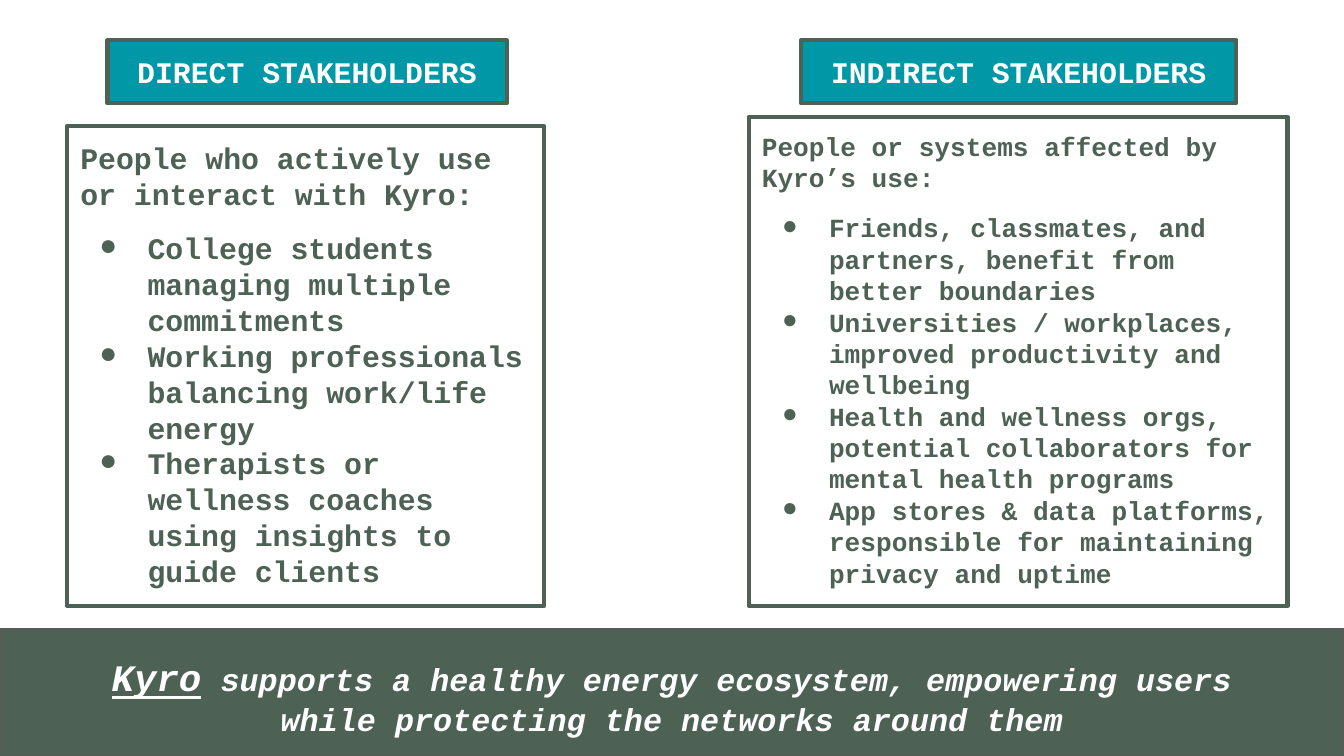
from lxml import etree
from pptx import Presentation, util as u
from pptx.dml.color import RGBColor
from pptx.enum import shapes, text
from pptx.oxml.ns import qn

GREEN, TEAL, WHITE, GREY = "4D6154", "0097A7", "FFFFFF", "595959"
FACE = "Courier New"
CELLS_PER_INCH = 10
COLUMNS, ROWS = 100, 56.25
BAND_TOP = 46.8

GROUPS = [
    dict(
        title="DIRECT STAKEHOLDERS", title_at=(8, 3, 29.7, 4.7),
        card_at=(5, 9.4, 35.5, 35.7), size=16, hang=0.36,
        intro="People who actively use or interact with Kyro:",
        members=[
            "College students managing multiple commitments",
            "Working professionals balancing work/life energy",
            "Therapists or wellness coaches using insights to guide clients",
        ],
    ),
    dict(
        title="INDIRECT STAKEHOLDERS", title_at=(59.6, 3, 32.4, 4.7),
        card_at=(55.7, 8.7, 40.1, 36.4), size=14, hang=0.35,
        intro="People or systems affected by Kyro’s use:",
        members=[
            "Friends, classmates, and partners, benefit from better boundaries",
            "Universities / workplaces, improved productivity and wellbeing",
            "Health and wellness orgs, potential collaborators for mental health programs",
            "App stores & data platforms, responsible for maintaining privacy and uptime",
        ],
    ),
]


def color(code):
    return RGBColor.from_string(code)


def cells(count):
    return u.Inches(count / CELLS_PER_INCH)


def write(paragraph, words, size=16, ink=WHITE, italic=False, underline=False):
    run = paragraph.add_run()
    run.text = words
    font = run.font
    font.name, font.size, font.bold = FACE, u.Pt(size), True
    font.italic, font.underline = italic, underline
    font.color.rgb = color(ink)


class StakeholderSlide:
    """Places styled elements on one slide by a grid of tenths of an inch."""

    def __init__(self, deck):
        self.slide = deck.slides.add_slide(deck.slide_layouts[6])

    def frame(self, holder):
        body = holder.text_frame
        body.word_wrap = True
        body.vertical_anchor = text.MSO_ANCHOR.TOP
        body.margin_left = body.margin_right = cells(1)
        body.margin_top = body.margin_bottom = cells(1)
        return body

    def panel(self, at, fill, line=GREEN, weight=2.25):
        panel = self.slide.shapes.add_shape(
            shapes.MSO_SHAPE.RECTANGLE, *map(cells, at))
        panel.shadow.inherit = False
        panel.fill.solid()
        panel.fill.fore_color.rgb = color(fill)
        panel.line.color.rgb = color(line)
        panel.line.width = u.Pt(weight)
        return panel

    def title(self, at, words):
        heading = self.frame(self.panel(at, TEAL)).paragraphs[0]
        heading.alignment = text.PP_ALIGN.CENTER
        write(heading, words)

    def bullet(self, paragraph, hang):
        props = paragraph._p.get_or_add_pPr()
        props.set("marL", str(cells(5)))
        props.set("indent", str(-u.Inches(hang)))
        ink = etree.SubElement(props, qn("a:buClr"))
        etree.SubElement(ink, qn("a:srgbClr"), val=GREEN)
        etree.SubElement(props, qn("a:buFont"), typeface=FACE)
        etree.SubElement(props, qn("a:buChar"), char="●")

    def card(self, at, intro, members, size, hang):
        body = self.frame(self.panel(at, WHITE))
        lead = body.paragraphs[0]
        lead.alignment = text.PP_ALIGN.LEFT
        write(lead, intro, size=size, ink=GREEN)
        for index, member in enumerate(members):
            item = body.add_paragraph()
            item.alignment = text.PP_ALIGN.LEFT
            item.space_before = u.Pt(0 if index else 10)
            self.bullet(item, hang)
            write(item, member, size=size, ink=GREEN)

    def summary(self, at, name, claim):
        box = self.slide.shapes.add_textbox(*map(cells, at))
        sentence = self.frame(box).paragraphs[0]
        sentence.alignment = text.PP_ALIGN.CENTER
        write(sentence, name, size=20, italic=True, underline=True)
        write(sentence, claim, size=17, italic=True)


def main():
    deck = Presentation()
    deck.slide_width, deck.slide_height = cells(COLUMNS), cells(ROWS)
    page = StakeholderSlide(deck)
    for group in GROUPS:
        page.card(group["card_at"], group["intro"], group["members"],
                  group["size"], group["hang"])
        page.title(group["title_at"], group["title"])
    page.panel((0, BAND_TOP, COLUMNS, ROWS - BAND_TOP), GREEN, GREY, 0.75)
    page.summary((6.5, 47.7, 87, 8.2), "Kyro",
                 " supports a healthy energy ecosystem, empowering users "
                 "while protecting the networks around them")
    deck.save("out.pptx")


if __name__ == "__main__":
    main()
